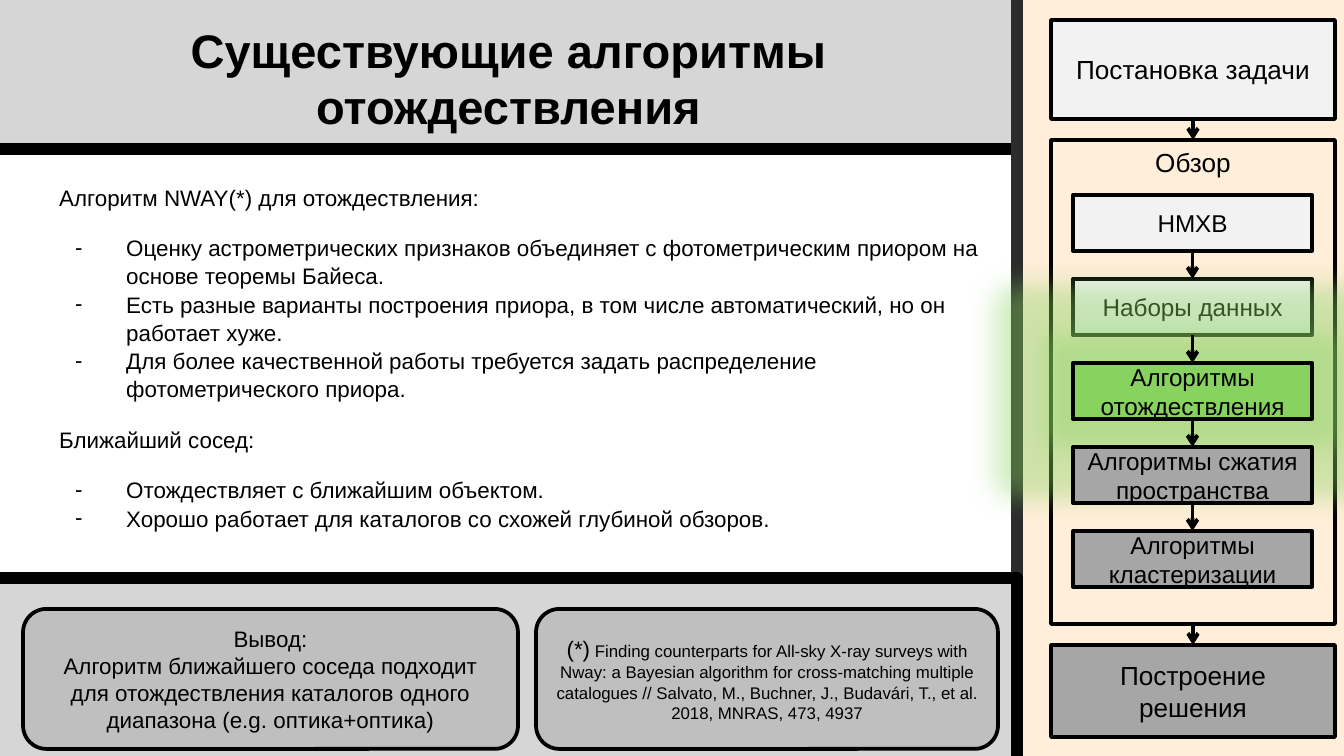
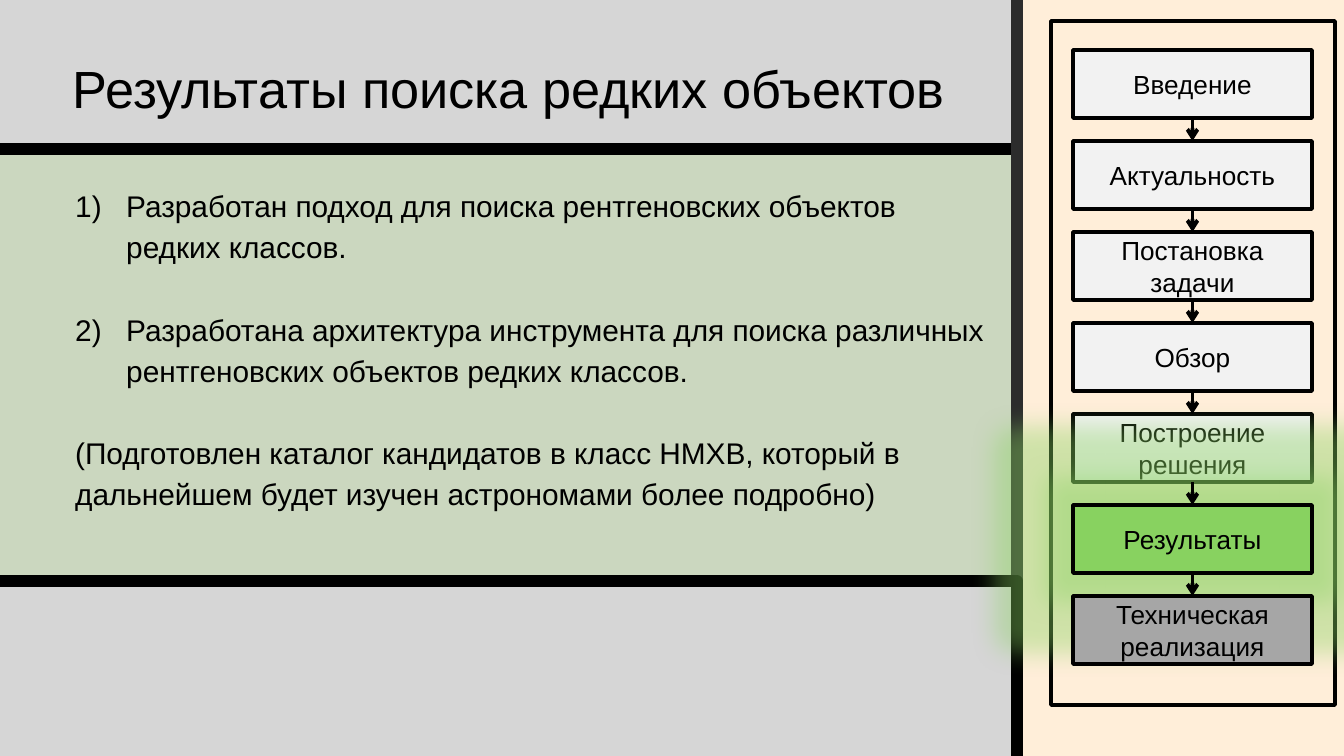
from itertools import pairwise

from lxml import etree
from pptx import Presentation
from pptx import util as u
from pptx.dml.color import RGBColor
from pptx.enum import shapes, text
from pptx.oxml.ns import qn

PX = 914400 / 134.4
FONT = "Arial"
COLORS = {
    "black": "000000",
    "band": "D6D6D6",
    "page": "CBD7BF",
    "sidebar": "FFEED9",
    "divider": "2C2C2C",
    "note": "BFBFBF",
    "done": "F2F2F2",
    "current": "88D260",
    "ahead": "A6A6A6",
}
LEFT_WIDTH = 1017
OUTER_LEFT, OUTER_WIDTH = 1051, 284
STEP_LEFT, STEP_WIDTH = 1073, 239


def px(length):
    return u.Emu(round(length * PX))


def rgb(name):
    return RGBColor.from_string(COLORS[name])


def add_element(parent, tag, **attributes):
    element = etree.SubElement(parent, qn(tag))
    for name, value in attributes.items():
        element.set(name, str(value))
    return element


def add_bullet(paragraph, bullet):
    """Give the paragraph a hanging marker: "1)" numbers it, other text is the marker itself."""
    properties = paragraph._p.get_or_add_pPr()
    properties.set("marL", str(px(67)))
    properties.set("indent", str(-px(51)))
    color = add_element(properties, "a:buClr")
    add_element(color, "a:srgbClr", val=COLORS["black"])
    add_element(properties, "a:buFont", typeface=FONT)
    if bullet == "1)":
        add_element(properties, "a:buAutoNum", type="arabicParenR")
    else:
        add_element(properties, "a:buChar", char=bullet)


def write(paragraph, words, size=12, bold=False, align=text.PP_ALIGN.CENTER,
          bullet=None, indent=0, spacing=None, before=0):
    """Fill a paragraph with a string, or with (string, size) pairs."""
    if bullet:
        add_bullet(paragraph, bullet)
    elif indent:
        paragraph._p.get_or_add_pPr().set("marL", str(px(indent)))
    paragraph.alignment = align
    if spacing:
        paragraph.line_spacing = spacing
    if before:
        paragraph.space_before = u.Pt(before)
    for part, part_size in [(words, size)] if isinstance(words, str) else words:
        run = paragraph.add_run()
        run.text = part
        run.font.name = FONT
        run.font.size = u.Pt(part_size)
        run.font.bold = bold
        run.font.color.rgb = rgb("black")


class Deck:
    def __init__(self):
        self.presentation = Presentation()
        self.presentation.slide_width = px(1344)
        self.presentation.slide_height = px(756)
        self.slide = None

    def new_slide(self):
        self.slide = self.presentation.slides.add_slide(self.presentation.slide_layouts[5])

    def box(self, left, top, width, height, fill, words=(), line="black", line_width=2,
            kind=shapes.MSO_SHAPE.RECTANGLE, anchor=text.MSO_ANCHOR.MIDDLE, size=14):
        shape = self.slide.shapes.add_shape(kind, px(left), px(top), px(width), px(height))
        shape.shadow.inherit = False
        shape.fill.solid()
        shape.fill.fore_color.rgb = rgb(fill)
        shape.line.color.rgb = rgb(line)
        shape.line.width = u.Pt(line_width)
        frame = shape.text_frame
        frame.word_wrap = True
        frame.vertical_anchor = anchor
        for index, line_words in enumerate(words):
            paragraph = frame.add_paragraph() if index else frame.paragraphs[0]
            write(paragraph, line_words, size)
        return shape

    def band(self, top, height):
        self.box(-19, top, 1036, height, "band", line_width=6)

    def sidebar(self):
        self.box(LEFT_WIDTH, -13, 341, 788, "sidebar", line="divider", line_width=6)

    def title(self, words, top, height, **style):
        title = self.slide.shapes.title
        self.slide.shapes.element.append(title.element)  # bring above the band
        title.left, title.top = px(0), px(top)
        title.width, title.height = px(LEFT_WIDTH), px(height)
        self.prepare(title.text_frame)
        write(title.text_frame.paragraphs[0], words, **style)

    def body(self, height, items, **style):
        """Write items given as (text, format) below the title."""
        frame = self.slide.shapes.add_textbox(px(46), px(169), px(954), px(height)).text_frame
        self.prepare(frame)
        for index, (words, own) in enumerate(items):
            paragraph = frame.add_paragraph() if index else frame.paragraphs[0]
            write(paragraph, words, align=text.PP_ALIGN.LEFT, **style, **own)

    @staticmethod
    def prepare(frame):
        frame.word_wrap = True
        frame.auto_size = text.MSO_AUTO_SIZE.NONE
        frame.vertical_anchor = text.MSO_ANCHOR.TOP
        frame.margin_left = frame.margin_right = u.Inches(0.1)
        frame.margin_top = frame.margin_bottom = u.Inches(0.1)

    @staticmethod
    def glow(shape):
        effects = shape.element.spPr.find(qn("a:effectLst"))
        glow = add_element(effects, "a:glow", rad=u.Pt(28))
        color = add_element(glow, "a:srgbClr", val=COLORS["current"])
        add_element(color, "a:alpha", val=40000)

    def steps(self, names, current, top, pitch, height, size):
        """Stack the steps and mark the current one; later steps are darker."""
        boxes = []
        for index, name in enumerate(names):
            state = "done" if index < current else "current" if index == current else "ahead"
            shape = self.box(STEP_LEFT, top + index * pitch, STEP_WIDTH, height,
                             state, [name], size=size)
            if state == "current":
                self.glow(shape)
            boxes.append(shape)
        return boxes

    def arrows(self, boxes):
        for upper, lower in pairwise(boxes):
            connector = self.slide.shapes.add_connector(shapes.MSO_CONNECTOR.STRAIGHT, 0, 0, 0, 0)
            connector.begin_connect(upper, 2)
            connector.end_connect(lower, 0)
            connector.line.color.rgb = rgb("black")
            connector.line.width = u.Pt(2)
            add_element(connector.line._get_or_add_ln(), "a:tailEnd", type="arrow")
            add_element(connector.element.spPr, "a:effectLst")


def algorithms_slide(deck):
    deck.new_slide()
    deck.band(-83, 232)
    deck.title("Существующие алгоритмы отождествления", 8, 141, size=25.2, bold=True)
    dash, first_dash = {"bullet": "-"}, {"bullet": "-", "before": 12}
    deck.body(390, [
        ("Алгоритм NWAY(*) для отождествления:", {}),
        ("Оценку астрометрических признаков объединяет с фотометрическим приором на "
         "основе теоремы Байеса.", first_dash),
        ("Есть разные варианты построения приора, в том числе автоматический, но он "
         "работает хуже.", dash),
        ("Для более качественной работы требуется задать распределение "
         "фотометрического приора.", dash),
        ("Ближайший сосед:", {"before": 12}),
        ("Отождествляет с ближайшим объектом.", first_dash),
        ("Хорошо работает для каталогов со схожей глубиной обзоров.", dash),
    ], size=12, spacing=1.05)
    deck.sidebar()
    deck.band(578, 257)

    conclusion = ["Вывод:", "Алгоритм ближайшего соседа подходит для отождествления "
                            "каталогов одного диапазона (e.g. оптика+оптика)"]
    reference = [[("(*)", 12), (
        " Finding counterparts for All-sky X-ray surveys with Nway: a Bayesian algorithm for "
        "cross-matching multiple catalogues // Salvato, M., Buchner, J., Budavári, T., et al. "
        "2018, MNRAS, 473, 4937", 9)]]
    for left, width, words in [(23, 495, conclusion), (536, 462, reference)]:
        deck.box(left, 609, width, 140, "note", words, size=12,
                 kind=shapes.MSO_SHAPE.ROUNDED_RECTANGLE)

    overview = deck.box(OUTER_LEFT, 140, OUTER_WIDTH, 484, "sidebar", ["Обзор"],
                        anchor=text.MSO_ANCHOR.TOP)
    task = deck.box(OUTER_LEFT, 20, OUTER_WIDTH, 99, "done", ["Постановка задачи"])
    solution = deck.box(OUTER_LEFT, 645, OUTER_WIDTH, 92, "ahead", ["Построение решения"])
    topics = deck.steps(
        ["HMXB", "Наборы данных", "Алгоритмы отождествления",
         "Алгоритмы сжатия пространства", "Алгоритмы кластеризации"],
        current=2, top=195, pitch=84, height=56, size=13)
    deck.arrows(topics)
    deck.arrows([task, overview, solution])


def results_slide(deck):
    deck.new_slide()
    deck.box(-4, -36, 1361, 792, "page", line="page")
    deck.band(-83, 232)
    deck.title("Результаты поиска редких объектов", 43, 107, size=28)
    deck.body(431, [
        ("Разработан подход для поиска рентгеновских объектов редких классов.",
         {"bullet": "1)"}),
        ("Разработана архитектура инструмента для поиска различных рентгеновских "
         "объектов редких классов.", {"bullet": "1)", "before": 22}),
        ("(Подготовлен каталог кандидатов в класс HMXB, который в дальнейшем будет изучен "
         "астрономами более подробно)", {"indent": 16, "before": 22}),
    ], size=16, spacing=1.15)
    deck.sidebar()
    deck.band(581, 254)
    deck.box(OUTER_LEFT, 21, OUTER_WIDTH, 684, "sidebar")
    chapters = deck.steps(
        ["Введение", "Актуальность", "Постановка задачи", "Обзор",
         "Построение решения", "Результаты", "Техническая реализация"],
        current=5, top=50, pitch=91, height=68, size=14)
    deck.arrows(chapters)


def main():
    deck = Deck()
    algorithms_slide(deck)
    results_slide(deck)
    deck.presentation.save("out.pptx")


if __name__ == "__main__":
    main()
